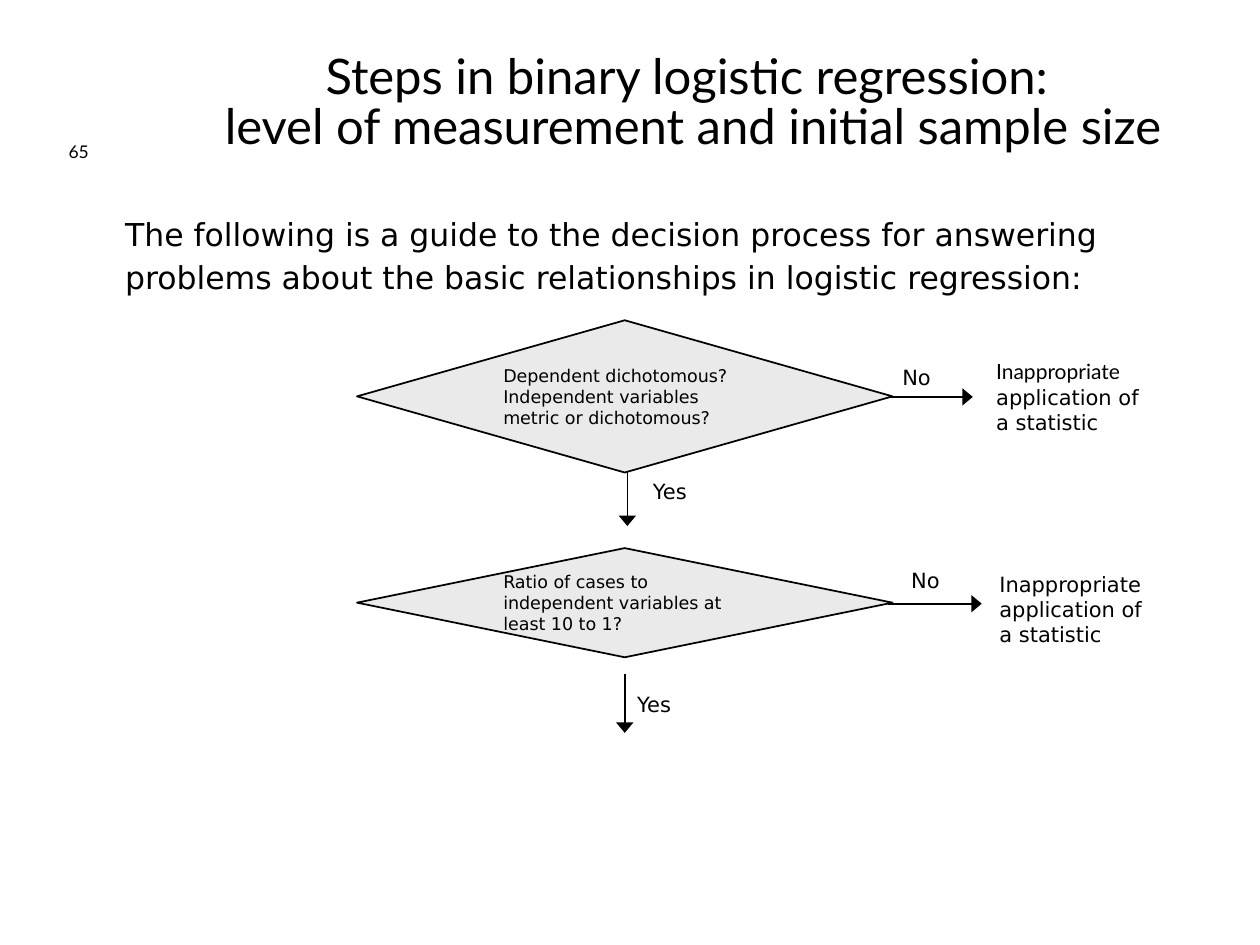
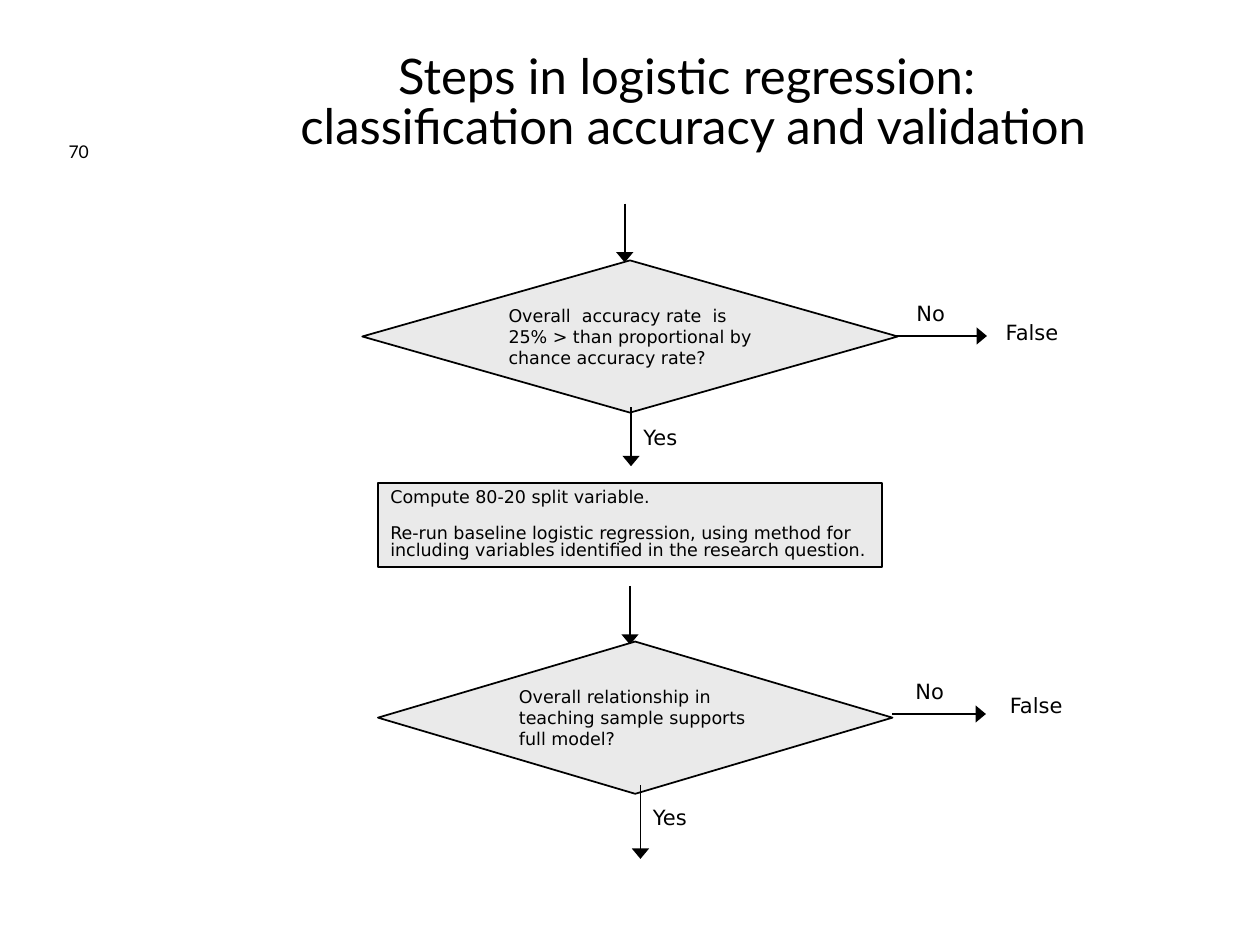
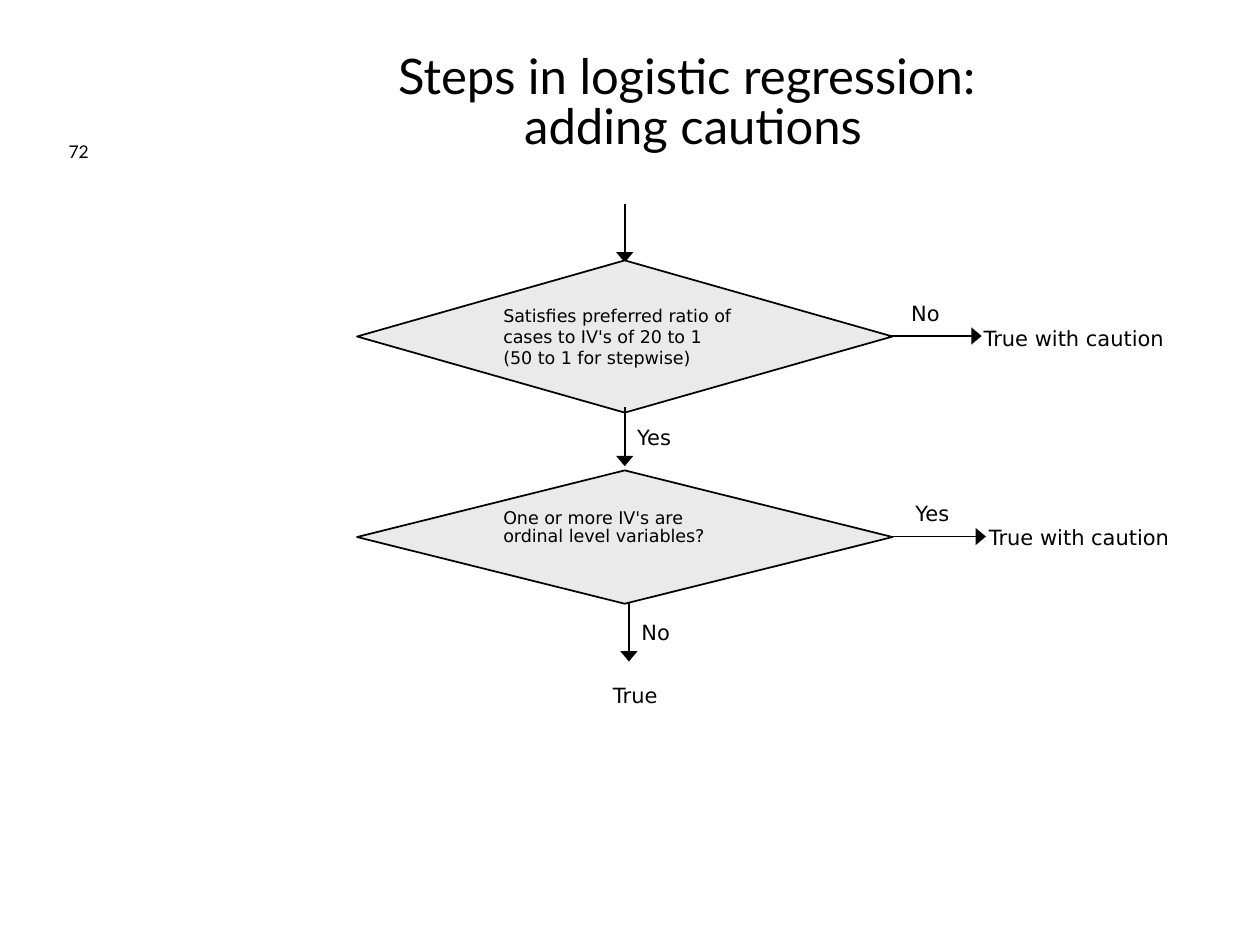
from lxml import etree
from pptx import Presentation
from pptx.dml.color import RGBColor
from pptx.enum.shapes import MSO_CONNECTOR, MSO_SHAPE
from pptx.enum.text import MSO_ANCHOR, MSO_AUTO_SIZE, PP_ALIGN
from pptx.oxml.ns import qn
from pptx.util import Inches, Pt

DIAMOND, RECT = MSO_SHAPE.FLOWCHART_DECISION, MSO_SHAPE.RECTANGLE
STRAIGHT = MSO_CONNECTOR.STRAIGHT
TOP, MIDDLE, BOTTOM = MSO_ANCHOR.TOP, MSO_ANCHOR.MIDDLE, MSO_ANCHOR.BOTTOM
LEFT, CENTER = PP_ALIGN.LEFT, PP_ALIGN.CENTER
GROW, FIXED = MSO_AUTO_SIZE.SHAPE_TO_FIT_TEXT, MSO_AUTO_SIZE.NONE

COLS = 120  # square grid cells: 120 columns by 90 rows
INK, PAPER, GREY = "000000", "FFFFFF", "EAEAEA"
HEAD, BODY = "Lato", "DejaVu Sans"
TIGHT = 0.85


def tint(code):
    return RGBColor.from_string(code)


class Deck:
    """Style of the deck and the slide being drawn."""

    def __init__(self):
        self.prs = Presentation()
        self.prs.slide_width, self.prs.slide_height = Inches(10), Inches(7.5)
        self.unit = self.prs.slide_width / COLS
        self.slide = None

    def cells(self, *spans):
        return [round(span * self.unit) for span in spans]

    def letter(self, shape, paras, size, font=BODY, align=LEFT, anchor=TOP,
               fit=GROW, lead=None, gap=0):
        """Put text in a shape; a paragraph is a text or a list of (text, font)."""
        frame = shape.text_frame
        frame.word_wrap, frame.auto_size = True, fit
        frame.vertical_anchor = anchor
        for i, runs in enumerate(paras):
            para = frame.add_paragraph() if i else frame.paragraphs[0]
            para.alignment = align
            para.line_spacing = lead
            para.space_before = Pt(gap if i else 0)
            for text, face in [(runs, font)] if isinstance(runs, str) else runs:
                for j, line in enumerate(text.split("\n")):
                    if j:
                        para.add_line_break()
                    run = para.add_run()
                    run.text = line
                    run.font.name, run.font.size = face, Pt(size)
                    run.font.color.rgb = tint(INK)
        return frame

    def page(self, title, number):
        """Start a slide with its title and page number."""
        self.slide = self.prs.slides.add_slide(self.prs.slide_layouts[5])
        head = self.slide.shapes.title
        head.left, head.top, head.width, head.height = self.cells(15, 4, 102, 12)
        self.letter(head, [title], 28, HEAD, CENTER, MIDDLE, FIXED, TIGHT)
        self.label(0, 4, 15, number, 12, size=10, font=HEAD, align=CENTER,
                   anchor=BOTTOM, fit=FIXED)

    def label(self, x, y, w, text, h=3.6, size=12, **style):
        box = self.slide.shapes.add_textbox(*self.cells(x, y, w, h))
        paras = text if isinstance(text, list) else [text]
        self.letter(box, paras, size, **style)
        return box

    def step(self, x, y, w, h, paras, kind=DIAMOND, edge=1, **style):
        """A grey box of the flow chart."""
        box = self.slide.shapes.add_shape(kind, *self.cells(x, y, w, h))
        box.shadow.inherit = False
        box.fill.solid()
        box.fill.fore_color.rgb = tint(GREY)
        box.line.color.rgb, box.line.width = tint(INK), Pt(edge)
        return self.letter(box, paras, 10, anchor=MIDDLE, **style)

    def arrow(self, x, y, dx, dy):
        link = self.slide.shapes.add_connector(
            STRAIGHT, *self.cells(x, y, x + dx, y + dy))
        link.line.color.rgb, link.line.width = tint(INK), Pt(1)
        props = link._element.spPr
        etree.SubElement(props.find(qn("a:ln")), qn("a:tailEnd"),
                         type="triangle", w="lg", len="med")
        etree.SubElement(props, qn("a:effectLst"))

    def down(self, x, y, word=None, run=5.6, dx=0, dy=1.05):
        self.arrow(x, y, 0, run)
        if word:
            self.label(x + dx, y + dy, 6.1, word)

    def side(self, x, y, word, lift=4):
        self.arrow(x, y, 8.9, 0)
        self.label(x + 1, y - lift, 6.1, word)


def main():
    deck = Deck()

    # Measurement level and sample size
    deck.page("Steps in binary logistic regression: \n"
              "level of measurement and initial sample size", "65")
    guide = deck.label(
        10, 19.9, 107.5,
        ["The following is a guide to the decision process for answering",
         "problems about the basic relationships in logistic regression:"],
        9.1, size=18, fit=FIXED, gap=3)
    guide.text_frame.margin_left = Inches(0.16)
    guide.fill.solid()
    guide.fill.fore_color.rgb = tint(PAPER)
    deck.down(59.75, 44.5, "Yes", dx=1.25, dy=0.5)
    deck.side(83.75, 37.8, "No", lift=3.7)
    deck.label(93.7, 33.6, 16.3, [[("Inappropriate ", HEAD),
                                   ("application of a statistic", BODY)]], 8.4)
    deck.step(34, 30.5, 51, 14.5, ["Dependent dichotomous?",
                                   "Independent variables metric or dichotomous?"])
    deck.step(34, 52.2, 51, 10.4,
              ["Ratio of cases to independent variables at least 10 to 1?"])
    deck.down(59.5, 64.2, "Yes")
    deck.side(84.6, 57.5, "No")
    deck.label(94, 53.8, 17, "Inappropriate application of a statistic", 8.4)

    # Accuracy and validation
    deck.page("Steps in logistic regression: \n"
              "classification accuracy and validation", "70")
    deck.down(59.5, 19.4)
    deck.step(34.5, 24.8, 51, 14.5,
              ["Overall  accuracy rate  is 25% > than proportional by "
               "chance accuracy rate?"])
    deck.down(60.1, 38.8, "Yes")
    deck.side(85.1, 32, "No")
    deck.label(94.6, 29.8, 9.5, "False")
    deck.step(36, 46, 48, 8,
              ["Compute 80-20 split variable.",
               "Re-run baseline logistic regression, using method for "
               "including variables identified in the research question."],
              RECT, 0.75, lead=TIGHT, gap=10)
    deck.down(60, 55.8)
    deck.step(36, 61.1, 49, 14.5,
              ["Overall relationship in teaching sample supports full model?"])
    deck.down(61, 74.8, "Yes", run=7, dy=1.2)
    deck.side(85, 68, "No")
    deck.label(95, 65.4, 9.5, "False")

    # Cautions
    deck.page("Steps in logistic regression: \nadding cautions", "72")
    deck.down(59.5, 19.4)
    ordinal = deck.step(34, 44.8, 51, 12.7,
                        ["One or more IV's are ordinal level variables?"],
                        lead=TIGHT)
    ordinal.margin_bottom = Inches(0.19)
    deck.down(59.9, 57.4, "No")
    deck.side(85, 51.1, "Yes")
    deck.label(56, 64.4, 9, "True", align=CENTER)
    deck.step(34, 24.8, 51, 14.5,
              ["Satisfies preferred ratio of cases to IV's of 20 to 1",
               "(50 to 1 for stepwise)"])
    deck.side(84.6, 32, "No")
    deck.down(59.5, 38.8, "Yes")
    for x, y in ((92.5, 30.4), (93, 49.4)):
        deck.label(x, y, 24, "True with caution")

    deck.prs.save("out.pptx")


if __name__ == "__main__":
    main()
